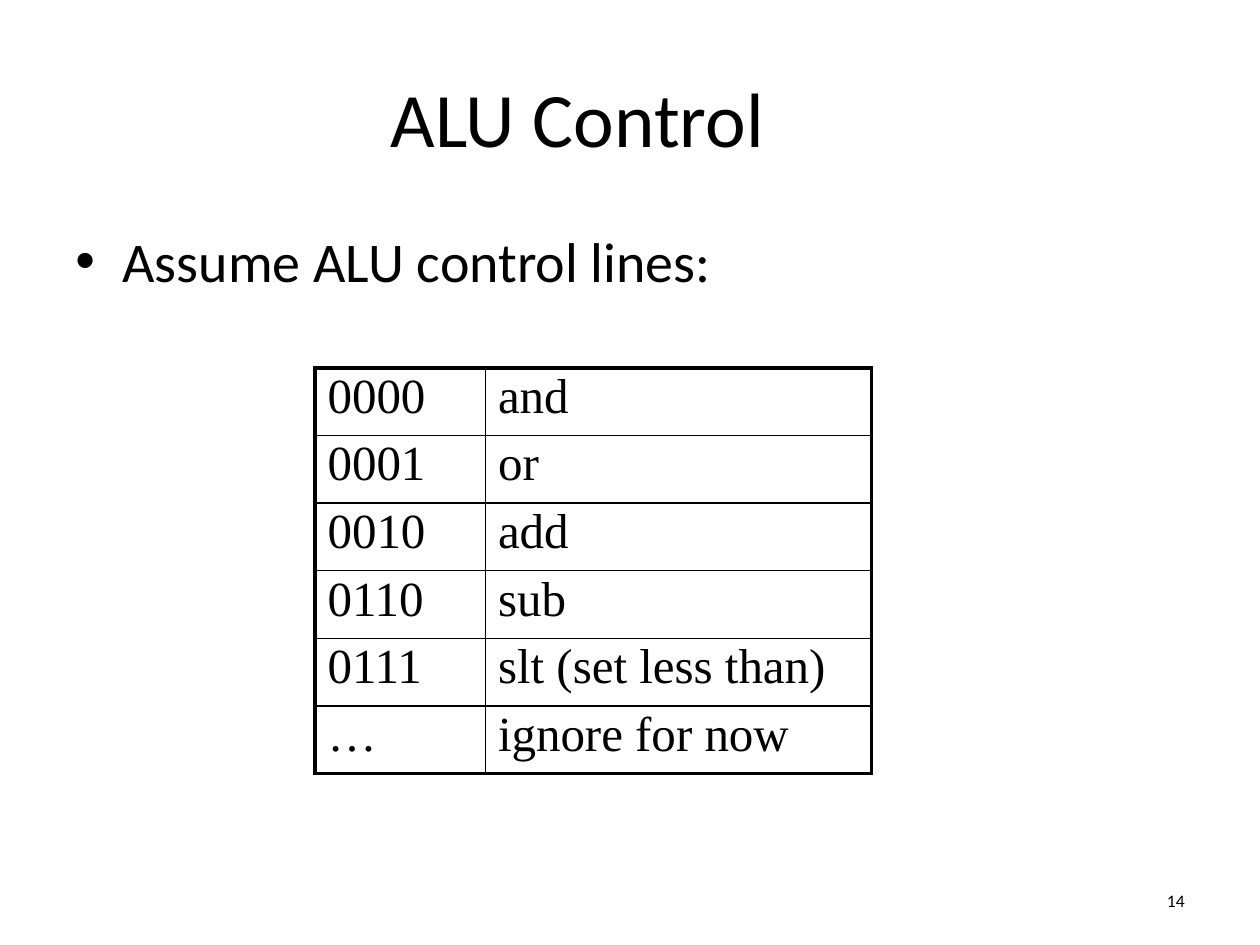
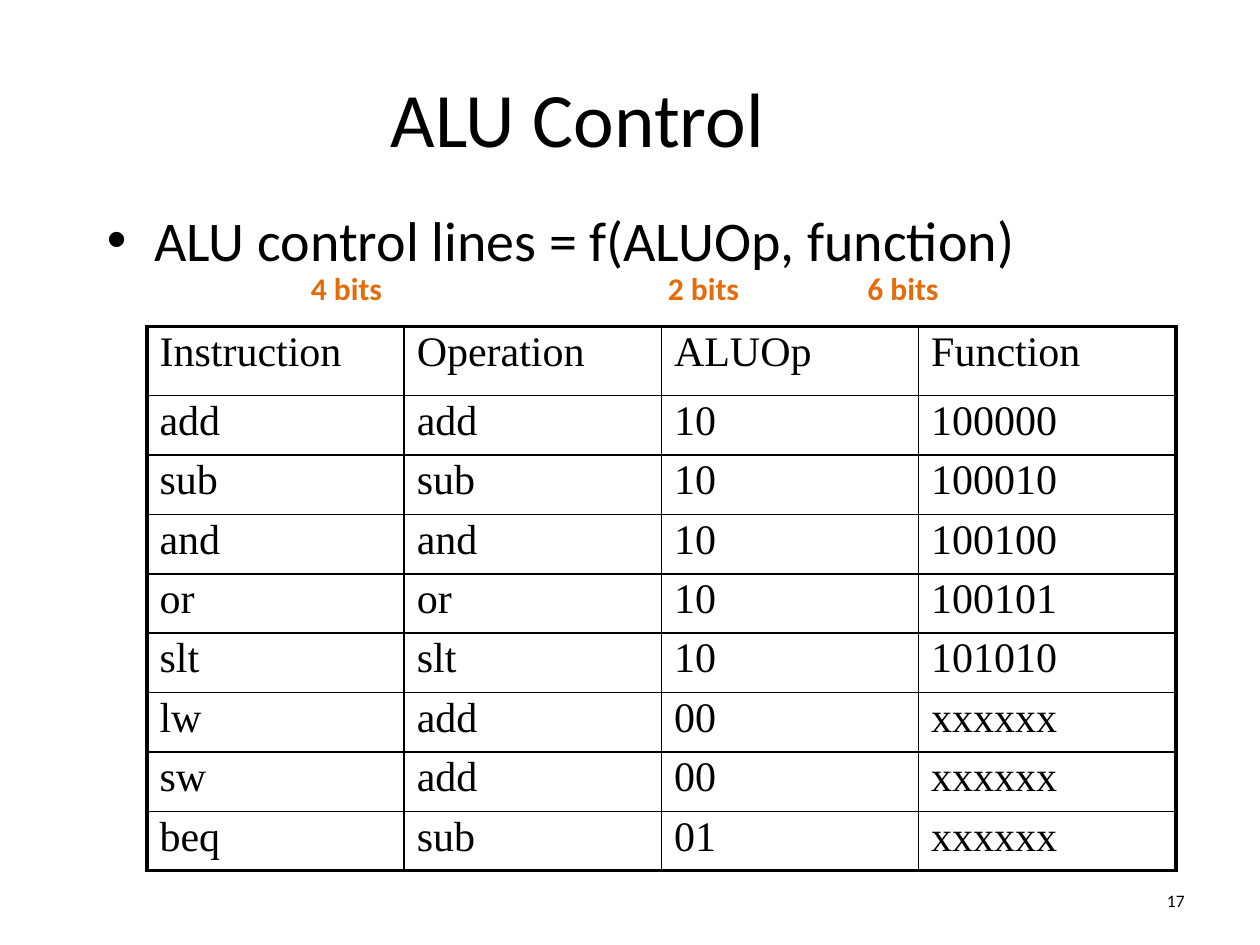
from lxml import etree
from pptx import Presentation
from pptx.dml.color import RGBColor
from pptx.enum.text import MSO_ANCHOR, PP_ALIGN
from pptx.oxml.ns import qn
from pptx.util import Pt

LEFT, CENTER, RIGHT = PP_ALIGN.LEFT, PP_ALIGN.CENTER, PP_ALIGN.RIGHT
TOP, MIDDLE = MSO_ANCHOR.TOP, MSO_ANCHOR.MIDDLE

BLACK, ORANGE = "000000", "E46C0A"
SANS, SERIF = "Calibri", "Times New Roman"
TITLE_BOX = (36, 21.6, 588, 90)
NUMBER_BOX = (600, 500.4, 84, 28.8)
BULLET_INDENT = 27
OUTER_LINE, INNER_LINE = 2.25, 1

TITLE = {"name": SANS, "size": Pt(44)}
BULLET = {"name": SANS, "size": Pt(32)}
NUMBER = {"name": SANS, "size": Pt(10)}
BIT_LABEL = {"name": SANS, "size": Pt(18), "bold": True}

CONTROL_LINES = [
    ("0000", "and"),
    ("0001", "or"),
    ("0010", "add"),
    ("0110", "sub"),
    ("0111", "slt (set less than)"),
    ("…", "ignore for now"),
]
CONTROL_FUNCTION = [
    ("Instruction", "Operation", "ALUOp", "Function"),
    ("add", "add", "10", "100000"),
    ("sub", "sub", "10", "100010"),
    ("and", "and", "10", "100100"),
    ("or", "or", "10", "100101"),
    ("slt", "slt", "10", "101010"),
    ("lw", "add", "00", "xxxxxx"),
    ("sw", "add", "00", "xxxxxx"),
    ("beq", "sub", "01", "xxxxxx"),
]


def rgb(color):
    return RGBColor.from_string(color)


def style_font(font, look, color):
    for attribute, value in look.items():
        setattr(font, attribute, value)
    font.color.rgb = rgb(color)


def add_bullet(paragraph):
    props = paragraph._p.get_or_add_pPr()
    props.set("marL", str(Pt(BULLET_INDENT)))
    props.set("indent", str(-Pt(BULLET_INDENT)))
    etree.SubElement(props, qn("a:buFont"), typeface="Arial")
    etree.SubElement(props, qn("a:buChar"), char="•")


def add_text(slide, box, text, look, color=BLACK, align=LEFT, anchor=TOP, bullet=False):
    frame = slide.shapes.add_textbox(*map(Pt, box)).text_frame
    frame.word_wrap = True
    frame.vertical_anchor = anchor
    paragraph = frame.paragraphs[0]
    paragraph.text = text
    paragraph.alignment = align
    if bullet:
        add_bullet(paragraph)
    style_font(paragraph.font, look, color)
    style_font(paragraph.runs[0].font, look, color)


def add_border(cell, side, width):
    line = etree.SubElement(cell._tc.get_or_add_tcPr(), qn(f"a:ln{side}"), w=str(Pt(width)))
    fill = etree.SubElement(line, qn("a:solidFill"))
    etree.SubElement(fill, qn("a:srgbClr"), val=BLACK)


def add_grid(slide, origin, rows, widths, heights, size):
    """Table with a heavy frame and thin inner rules."""
    extent = (sum(widths), sum(heights))
    table = slide.shapes.add_table(len(rows), len(widths), *map(Pt, origin + extent)).table
    table.first_row = table.horz_banding = False
    for column, width in zip(table.columns, widths):
        column.width = Pt(width)
    for row, height in zip(table.rows, heights):
        row.height = Pt(height)

    for r, values in enumerate(rows):
        for c, value in enumerate(values):
            cell = table.cell(r, c)
            on_frame = {
                "L": c == 0,
                "R": c == len(widths) - 1,
                "T": r == 0,
                "B": r == len(rows) - 1,
            }
            for side, outer in on_frame.items():
                add_border(cell, side, OUTER_LINE if outer else INNER_LINE)
            cell.fill.background()
            paragraph = cell.text_frame.paragraphs[0]
            paragraph.text = value
            paragraph.line_spacing = 0.9
            style_font(paragraph.runs[0].font, {"name": SERIF, "size": Pt(size)}, BLACK)


def add_frame(deck, number):
    """Slide with the shared title and page number."""
    slide = deck.slides.add_slide(deck.slide_layouts[6])
    add_text(slide, TITLE_BOX, "ALU Control", TITLE, align=CENTER, anchor=MIDDLE)
    add_text(slide, NUMBER_BOX, str(number), NUMBER, align=RIGHT, anchor=MIDDLE)
    return slide


def build_control_lines(deck):
    slide = add_frame(deck, 14)
    add_text(slide, (36, 126, 648, 356.4), "Assume ALU control lines:", BULLET, bullet=True)
    add_grid(slide, (180, 210.2), CONTROL_LINES, [97.4, 220.6],
             [38.65] * len(CONTROL_LINES), 28)


def build_control_function(deck):
    slide = add_frame(deck, 17)
    add_text(slide, (54, 114, 612, 60), "ALU control lines = f(ALUOp, function)",
             BULLET, bullet=True)
    add_grid(slide, (84, 186.5), CONTROL_FUNCTION, [147] * 4,
             [39.6] + [33.95] * (len(CONTROL_FUNCTION) - 1), 24)
    # Width of each signal, below its name in the formula
    for left, bits in ((150, 4), (354, 2), (468, 6)):
        add_text(slide, (left, 150, 96, 28.8), f"{bits} bits", BIT_LABEL, ORANGE, CENTER)


def main():
    deck = Presentation()
    deck.slide_width, deck.slide_height = Pt(720), Pt(540)
    build_control_lines(deck)
    build_control_function(deck)
    deck.save("out.pptx")


if __name__ == "__main__":
    main()
